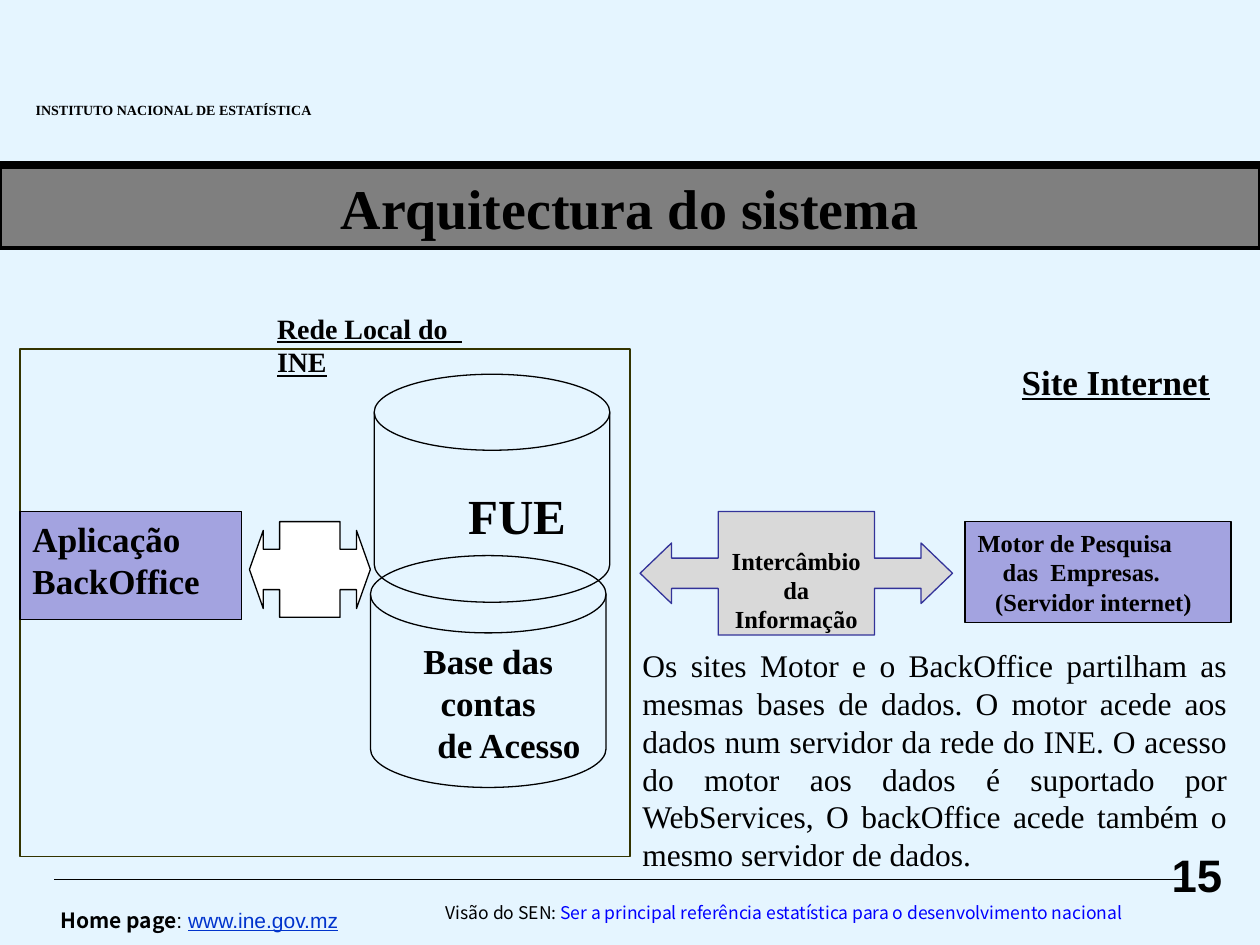
"""Build the system architecture slide."""
from lxml.etree import SubElement
from pptx import Presentation
from pptx.dml.color import RGBColor
from pptx.enum.shapes import MSO_CONNECTOR, MSO_SHAPE
from pptx.enum.text import MSO_ANCHOR, PP_ALIGN
from pptx.oxml.ns import qn
from pptx.util import Inches, Pt

BLACK = RGBColor(0x00, 0x00, 0x00)
WHITE = RGBColor(0xFF, 0xFF, 0xFF)
BACKGROUND = RGBColor(0xE5, 0xF5, 0xFF)
BANNER = RGBColor(0x7F, 0x7F, 0x7F)
LILAC = RGBColor(0xA3, 0xA3, 0xE0)
LIGHT_GRAY = RGBColor(0xD9, 0xD9, 0xD9)
INDIGO = RGBColor(0x33, 0x33, 0x99)
OLIVE = RGBColor(0x33, 0x33, 0x00)
LINK_BLUE = RGBColor(0x00, 0x33, 0xCC)
BLUE = RGBColor(0x00, 0x00, 0xFF)
SERIF = "Times New Roman"
SANS = "Noto Sans CJK KR"


def write(shape, text, size, font=SERIF, color=BLACK, bold=True, underline=False,
          align=PP_ALIGN.LEFT, indent=0, new_paragraph=False):
    frame = shape.text_frame
    paragraph = frame.add_paragraph() if new_paragraph else frame.paragraphs[-1]
    paragraph.alignment = align
    if indent:
        properties = paragraph._p.get_or_add_pPr()
        properties.set("marL", str(Inches(indent)))
        properties.set("indent", "0")
    run = paragraph.add_run()
    run.text = text
    run.font.size = Pt(size)
    run.font.name = font
    run.font.bold = bold
    run.font.underline = underline
    run.font.color.rgb = color


def style(shape, fill=None, line=None, width=0.75, anchor=MSO_ANCHOR.TOP, wrap=True):
    shape.shadow.inherit = False
    if fill is None:
        shape.fill.background()
    else:
        shape.fill.solid()
        shape.fill.fore_color.rgb = fill
    if line is None:
        shape.line.fill.background()
    else:
        shape.line.color.rgb = line
        shape.line.width = Pt(width)
    shape.text_frame.word_wrap = wrap
    shape.text_frame.vertical_anchor = anchor
    return shape


presentation = Presentation()
presentation.slide_width = Inches(10)
presentation.slide_height = Inches(7.5)
slide = presentation.slides.add_slide(presentation.slide_layouts[6])
slide.background.fill.solid()
slide.background.fill.fore_color.rgb = BACKGROUND
shapes = slide.shapes

for left, right, top, width in [(0, 10, 1.31, 4.5), (0.43, 9.41, 6.98, 0.75)]:
    rule = shapes.add_connector(MSO_CONNECTOR.STRAIGHT, Inches(left), Inches(top),
                                Inches(right), Inches(top))
    rule.line.color.rgb = BLACK
    rule.line.width = Pt(width)
    SubElement(rule._element.spPr, qn("a:effectLst"))

boxes = {}
for name, left, top, width, height, wrap in [
    ("home page", 0.38, 7.15, 2.44, 0.3, False),
    ("institute", 0, 0.76, 2.76, 0.39, True),
    ("vision", 3.44, 7.11, 6.41, 0.27, True),
    ("description", 5, 5.08, 4.84, 1.9, True),
    ("site heading", 8.01, 2.81, 1.69, 0.44, False),
    ("network heading", 2.1, 2.42, 2.11, 0.37, False),
]:
    box = shapes.add_textbox(Inches(left), Inches(top), Inches(width), Inches(height))
    boxes[name] = style(box, wrap=wrap)

write(boxes["home page"], "Home page", 12, font=SANS)
write(boxes["home page"], ": ", 12, font="Arial", bold=False)
write(boxes["home page"], "www.ine.gov.mz", 12, font="Arial", color=LINK_BLUE,
      bold=False, underline=True)
write(boxes["institute"], "INSTITUTO NACIONAL DE ESTATÍSTICA", 8, align=PP_ALIGN.CENTER)
write(boxes["vision"], "Visão do SEN: ", 10, font=SANS, bold=False)
write(boxes["vision"],
      "Ser a principal referência estatística para o desenvolvimento nacional",
      10, font=SANS, color=BLUE, bold=False)
write(boxes["description"],
      "Os sites Motor e o BackOffice partilham as mesmas bases de dados. "
      "O motor acede aos dados num servidor da rede do INE. "
      "O acesso do motor aos dados é suportado por WebServices, "
      "O backOffice acede também o mesmo servidor de dados.",
      18, bold=False, align=PP_ALIGN.JUSTIFY)
write(boxes["site heading"], "Site Internet", 20, underline=True)
write(boxes["network heading"], "Rede Local do   INE", 16, underline=True)

parts = {}
for name, kind, left, top, width, height, fill, line, weight in [
    ("title", MSO_SHAPE.RECTANGLE, 0, 1.33, 10, 0.64, BANNER, BLACK, 2),
    ("local network", MSO_SHAPE.RECTANGLE, 0.16, 2.77, 4.84, 4.03, None, OLIVE, 0.75),
    ("accounts", MSO_SHAPE.FLOWCHART_MAGNETIC_DISK, 2.94, 4.41, 1.87, 1.84, None, BLACK, 0.75),
    ("register", MSO_SHAPE.FLOWCHART_MAGNETIC_DISK, 2.97, 2.97, 1.87, 1.81, None, BLACK, 0.75),
    ("back office", MSO_SHAPE.RECTANGLE, 0.16, 4.06, 1.76, 0.86, LILAC, BLACK, 0.75),
    ("search engine", MSO_SHAPE.RECTANGLE, 7.66, 4.14, 2.11, 0.8, LILAC, BLACK, 0.75),
    ("page number", MSO_SHAPE.OVAL, 9, 6.56, 1, 0.76, None, None, 0),
]:
    part = shapes.add_shape(kind, Inches(left), Inches(top), Inches(width), Inches(height))
    parts[name] = style(part, fill, line, weight)

write(parts["title"], "Arquitectura do sistema", 32, align=PP_ALIGN.CENTER)
write(parts["accounts"], "Base das contas", 20, align=PP_ALIGN.CENTER)
write(parts["accounts"], "de Acesso", 20, align=PP_ALIGN.CENTER, indent=0.33,
      new_paragraph=True)
parts["register"].text_frame.margin_top = Inches(0.28)
write(parts["register"], "FUE", 28, align=PP_ALIGN.CENTER, indent=0.4)
write(parts["back office"], "Aplicação", 20)
write(parts["back office"], "BackOffice", 20, new_paragraph=True)
write(parts["search engine"], "Motor de Pesquisa", 14)
write(parts["search engine"], "das  Empresas.", 14, indent=0.2, new_paragraph=True)
write(parts["search engine"], "(Servidor internet)", 14, indent=0.14, new_paragraph=True)
parts["page number"].text_frame.vertical_anchor = MSO_ANCHOR.MIDDLE
write(parts["page number"], "15", 26, font="Arial", align=PP_ALIGN.CENTER)

for center_x, center_y, quarter, fill, line in [
    (2.46, 4.52, [(0.24, 0.38), (0.24, 0.16), (0.37, 0.16), (0.37, 0.31), (0.48, 0)],
     WHITE, BLACK),
    (6.32, 4.55, [(0.62, 0.49), (0.62, 0.12), (0.99, 0.12), (0.99, 0.24), (1.24, 0)],
     LIGHT_GRAY, INDIGO),
]:
    right_side = [(x, -y) for x, y in quarter] + quarter[-2::-1]
    outline = right_side + [(-x, -y) for x, y in right_side]
    points = [(Inches(center_x + x), Inches(center_y + y)) for x, y in outline]
    builder = shapes.build_freeform(*points[0])
    builder.add_line_segments(points[1:], close=True)
    exchange_arrow = style(builder.convert_to_shape(), fill, line)

exchange_frame = exchange_arrow.text_frame
exchange_frame.margin_left = exchange_frame.margin_right = Inches(0.72)
exchange_frame.margin_top = Inches(0.27)
write(exchange_arrow, "Intercâmbio da", 14, align=PP_ALIGN.CENTER)
write(exchange_arrow, "Informação", 14, align=PP_ALIGN.CENTER, new_paragraph=True)

presentation.save("out.pptx")
